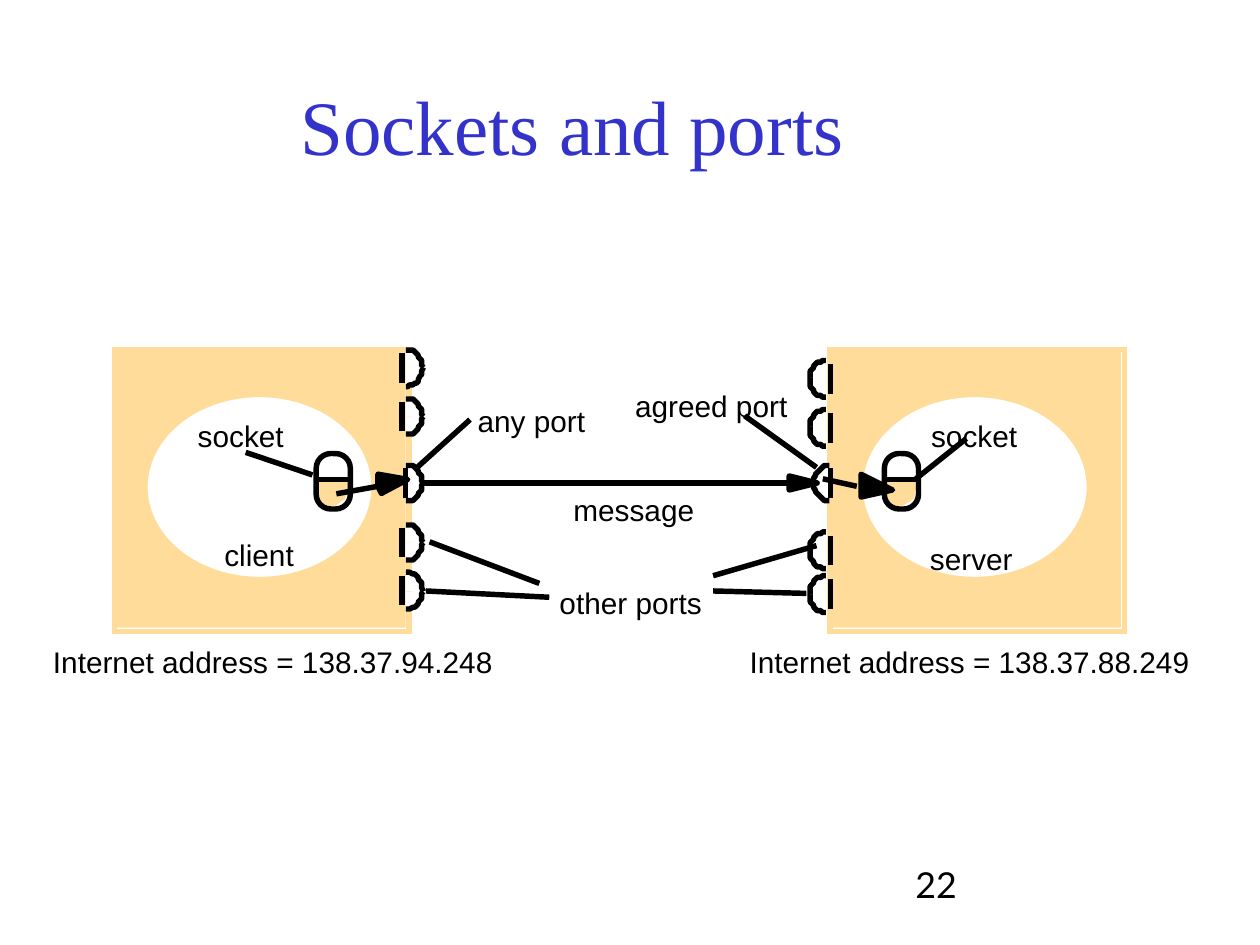
import copy
import math

import pptx
import pptx.util
import pptx.dml.color
import pptx.enum.shapes
import pptx.enum.text
import pptx.oxml
import pptx.oxml.ns
from lxml import etree

Pt = pptx.util.Pt
qn = pptx.oxml.ns.qn
SHAPE = pptx.enum.shapes.MSO_SHAPE
BLACK = pptx.dml.color.RGBColor(0x00, 0x00, 0x00)
WHITE = pptx.dml.color.RGBColor(0xFF, 0xFF, 0xFF)
SAND = pptx.dml.color.RGBColor(0xFF, 0xDC, 0x99)
BLUE = pptx.dml.color.RGBColor(0x33, 0x33, 0xCC)
STROKE = Pt(3.12)

deck = pptx.Presentation()
deck.slide_width, deck.slide_height = Pt(720), Pt(540)
page = deck.slides.add_slide(deck.slide_layouts[5])
shapes = page.shapes


def write(box, text, font="Arial", size=17, color=BLACK, align=None, spacing=None):
    para = box.text_frame.paragraphs[0]
    para.alignment = align
    para.line_spacing = spacing
    span = para.add_run()
    span.text = text
    span.font.name = font
    span.font.size = Pt(size)
    span.font.color.rgb = color


def paint(shape, fill=None, line=None):
    """Set fill and outline; None leaves that part empty."""
    shape.shadow.inherit = False
    for part, color in ((shape.fill, fill), (shape.line.fill, line)):
        if color is None:
            part.background()
        else:
            part.solid()
            part.fore_color.rgb = color
    if line is not None:
        shape.line.width = STROKE


# Title and page number
title = shapes.title
title.left, title.top, title.width, title.height = Pt(24), Pt(44.5), Pt(606), Pt(54)
title.text_frame.vertical_anchor = pptx.enum.text.MSO_ANCHOR.MIDDLE
write(title, "Sockets and ports", font="Times New Roman", size=44, color=BLUE,
      align=pptx.enum.text.PP_ALIGN.CENTER)
number = shapes.add_textbox(Pt(516), Pt(492), Pt(150), Pt(36))
number.text_frame.word_wrap = True
write(number, "22", font="Lato", size=20.4, spacing=0.9)

# Host computers, each with a white process
for left in (65.5, 474.2):
    ground = shapes.add_shape(SHAPE.RECTANGLE, Pt(left), Pt(199.7), Pt(166.3), Pt(159))
    paint(ground, fill=SAND)
    frame = shapes.add_shape(SHAPE.RECTANGLE, Pt(left), Pt(199.7), Pt(168.3), Pt(161.1))
    paint(frame, line=SAND)
    etree.SubElement(frame.line._get_or_add_ln(), qn("a:miter"), lim="800000")
    process = shapes.add_shape(SHAPE.OVAL, Pt(left + 17.3), Pt(225.4), Pt(131), Pt(105.8))
    paint(process, fill=WHITE, line=SAND)

# Sockets: a half-filled capsule
bowl = ((2.1, 10.8), (7.9, 15.1), (15.8, 10.8), (18, 0))
for left in (180.7, 505.4):
    builder = shapes.build_freeform(left, 273.6, scale=Pt(1))
    builder.add_line_segments([(left + x, 273.6 + y) for x, y in bowl], close=True)
    paint(builder.convert_to_shape(), fill=SAND, line=SAND)
    capsule = shapes.add_shape(SHAPE.ROUNDED_RECTANGLE, Pt(left), Pt(259.2), Pt(19.5), Pt(31.7))
    capsule.adjustments[0] = 0.43
    paint(capsule, line=BLACK)

# Straight lines: x1, y1, x2, y2
lines = [
    (237.6, 267.8, 268.6, 239.8),   # any port
    (466.6, 267.1, 425.5, 237.6),   # agreed port
    (178.6, 271.4, 140.4, 258.5),   # client socket
    (523.4, 273.6, 552.2, 250.6),   # server socket
    (308.2, 333.4, 245.5, 309.6),   # other ports
    (313.9, 341.3, 243.4, 337.7),
    (460.8, 339.1, 407.5, 337.7),
    (407.5, 329, 466.6, 311.8),
    (180.7, 273.9, 198.7, 273.9),   # capsule dividers
    (505.4, 273.9, 523.4, 273.9),
    (450.7, 276, 241.2, 276),       # message
    (192.2, 282.2, 216, 277.9),
    (489.6, 277.9, 470.2, 273.6),
]

# Ports: two quarter circles and a bar; the middle one on each side is in use
RADIUS_X, RADIUS_Y = 9.7, 10.5
STEPS = 12
sides = (
    ((199.7, 227.5, 265.5, 299.5, 327), 231.8, 231.8, 229.7, 1),
    ((206, 234, 265.5, 304, 329), 472.3, 474.5, 474.5, -1),
)
for tops, center, used_center, bar, direction in sides:
    for index, top in enumerate(tops):
        used = index == 2
        x, y = (used_center if used else center), top + RADIUS_Y
        for first_angle in (-90, 0):
            angles = [math.radians(first_angle + 90 * step / STEPS) for step in range(STEPS + 1)]
            rim = [(x + direction * RADIUS_X * math.cos(angle), y + RADIUS_Y * math.sin(angle))
                   for angle in angles]
            builder = shapes.build_freeform(*rim[0], scale=Pt(1))
            builder.add_line_segments(rim[1:] + [(x, y)], close=True)
            quarter = builder.convert_to_shape()
            paint(quarter, fill=WHITE, line=BLACK)
            # Fill the whole sector, but stroke only its rim
            sector = quarter._element.spPr.find(".//" + qn("a:path"))
            arc = copy.deepcopy(sector)
            sector.set("stroke", "0")
            arc.set("fill", "none")
            for step in list(arc)[STEPS + 1:]:
                arc.remove(step)
            sector.addnext(arc)
        bar_x = used_center if used else bar
        lines.append((bar_x, top + 2, bar_x, top + 19))

labels = (
    ("message", 327.6, 280.8, 69),
    ("agreed port", 362.9, 221.8, 87),
    ("any port", 272.9, 230.4, 62),
    ("socket", 532.1, 239, 49),
    ("socket", 113, 239, 49),
    ("Internet address = 138.37.88.249", 428.4, 367.9, 251),
    ("Internet address = 138.37.94.248", 30.3, 367.9, 251),
    ("other ports", 319.7, 334.1, 81),
    ("client", 128.2, 306.7, 40),
    ("server", 531.4, 308.9, 48),
)
SLACK = 4
for text, left, top, width in labels:
    label = shapes.add_textbox(Pt(left), Pt(top), Pt(width + SLACK), Pt(20))
    frame = label.text_frame
    frame.margin_left = frame.margin_right = frame.margin_top = frame.margin_bottom = 0
    frame.word_wrap = False
    write(label, text)
    frame.auto_size = pptx.enum.text.MSO_AUTO_SIZE.SHAPE_TO_FIT_TEXT

for x1, y1, x2, y2 in lines:
    line = shapes.add_connector(pptx.enum.shapes.MSO_CONNECTOR.STRAIGHT,
                                Pt(x1), Pt(y1), Pt(x2), Pt(y2))
    line.line.color.rgb = BLACK
    line.line.width = STROKE
    etree.SubElement(line._element.spPr, qn("a:effectLst"))

# Skewed arrowheads of the message, client and server arrows
heads = (
    ((450.7, 271.7), (466.6, 276), (450.7, 280.1)),
    ((216, 271.4), (233.3, 273.6), (218.2, 282.2), (216, 277.9)),
    ((491.8, 271.4), (509.8, 280.1), (491.8, 284.4)),
)
for corners in heads:
    builder = shapes.build_freeform(*corners[0], scale=Pt(1))
    builder.add_line_segments(corners[1:], close=True)
    paint(builder.convert_to_shape(), fill=BLACK, line=BLACK)

deck.save("out.pptx")
